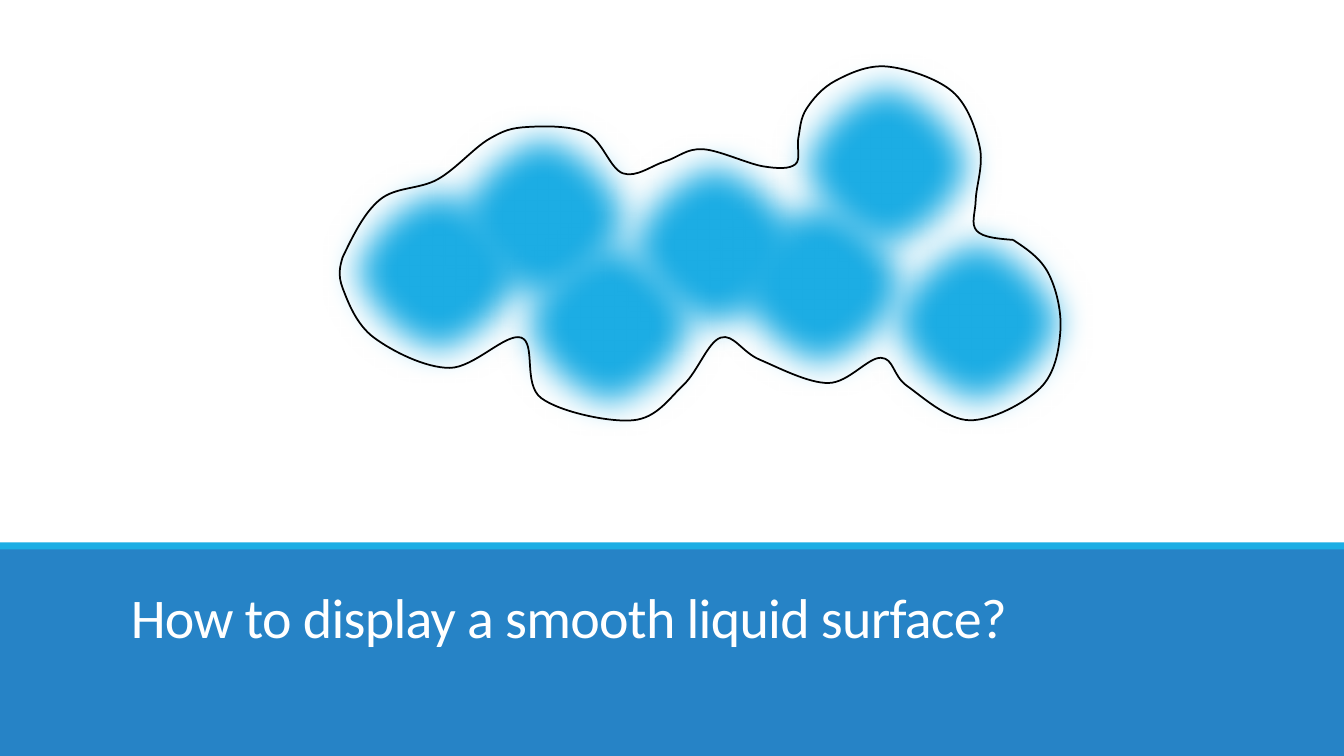
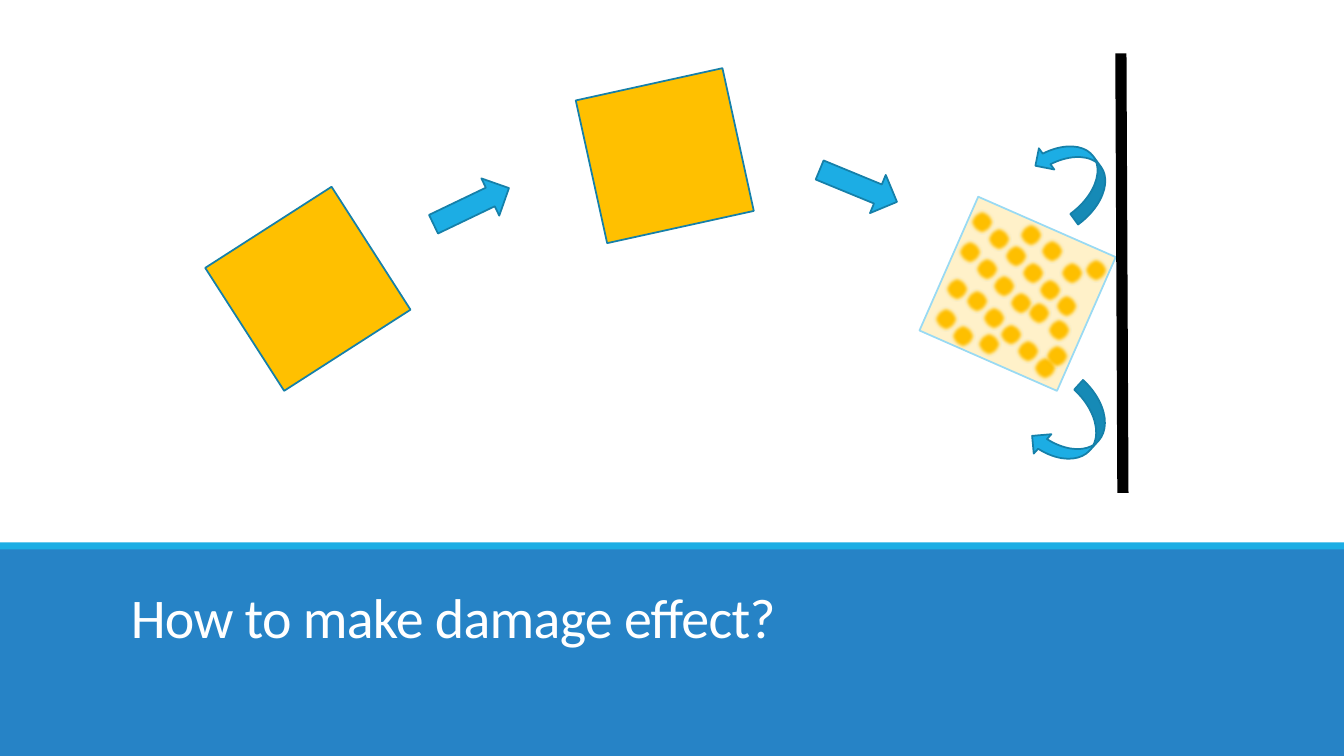
"""Build two question slides on rendering liquids and damage effects."""
import lxml.etree
import pptx
import pptx.dml.color
import pptx.enum.shapes
import pptx.enum.text
import pptx.oxml.ns
import pptx.util

SHAPE = pptx.enum.shapes.MSO_SHAPE
RGBColor = pptx.dml.color.RGBColor
Pt = pptx.util.Pt
qn = pptx.oxml.ns.qn

BAND_BLUE = RGBColor(0x26, 0x83, 0xC6)
LIQUID_BLUE = RGBColor(0x1C, 0xAD, 0xE4)
EDGE_BLUE = RGBColor(0x15, 0x80, 0xA9)
PALE_BLUE = RGBColor(0x99, 0xDA, 0xF3)
AMBER = RGBColor(0xFF, 0xC0, 0x00)
BLACK = RGBColor(0, 0, 0)
WHITE = RGBColor(0xFF, 0xFF, 0xFF)

deck = pptx.Presentation()
deck.slide_width = pptx.util.Inches(13.333)
deck.slide_height = pptx.util.Inches(7.5)
ROWS = 75
CELL = deck.slide_height / ROWS
COLUMNS = deck.slide_width / CELL
EDGE_WIDTH = Pt(1.25)

TITLE_FONT = {"name": "Calibri", "size": Pt(40)}
TITLE_FRAME = {
    "word_wrap": True,
    "vertical_anchor": pptx.enum.text.MSO_ANCHOR.BOTTOM,
    "margin_left": round(CELL),
    "margin_right": round(CELL),
    "margin_top": 0,
    "margin_bottom": 0,
}


def place(slide, kind, box, fill, edge=None, turn=0, soft=0, alpha=100):
    """Add a preset shape whose box is given in grid cells."""
    shape = slide.shapes.add_shape(kind, *(round(n * CELL) for n in box))
    shape.rotation = turn
    shape.shadow.inherit = False
    shape.fill.solid()
    shape.fill.fore_color.rgb = fill
    if edge is None:
        shape.line.fill.background()
    else:
        shape.line.color.rgb = edge
        shape.line.width = EDGE_WIDTH
    properties = shape._element.spPr
    if soft:
        effects = properties.find(qn("a:effectLst"))
        lxml.etree.SubElement(effects, qn("a:softEdge"), rad=str(Pt(soft)))
    if alpha < 100:
        color = properties.find(qn("a:solidFill"))[0]
        lxml.etree.SubElement(color, qn("a:alpha"), val=str(alpha * 1000))


def trace(slide, knots):
    """Draw a smooth open curve through knots given in grid cells."""
    points = [(x * CELL, y * CELL) for x, y in knots]
    last = len(points) - 1
    stops = []
    for i, (start, end) in enumerate(zip(points, points[1:])):
        before, after = points[max(i - 1, 0)], points[min(i + 2, last)]
        leave = [s + (e - b) / 6 for s, e, b in zip(start, end, before)]
        arrive = [e - (a - s) / 6 for s, e, a in zip(start, end, after)]
        if i == 0:
            leave = [(s + a) / 2 for s, a in zip(start, arrive)]
        if i == last - 1:
            arrive = [(n + e) / 2 for n, e in zip(leave, end)]
        stops += [leave, arrive, end]
    builder = slide.shapes.build_freeform(*points[0])
    builder.add_line_segments(stops, close=False)
    curve = builder.convert_to_shape()
    curve.shadow.inherit = False
    curve.fill.background()
    curve.line.color.rgb = BLACK
    curve.line.width = EDGE_WIDTH
    segments = list(curve._element.iter(qn("a:lnTo")))
    for first, second, third in zip(*[iter(segments)] * 3):
        first.tag = qn("a:cubicBezTo")
        for segment in (second, third):
            first.append(segment[0])
            segment.getparent().remove(segment)


questions = []
for question in ("How to display a smooth liquid surface?", "How to make damage effect?"):
    slide = deck.slides.add_slide(deck.slide_layouts[6])
    place(slide, SHAPE.RECTANGLE, (0, 54.2, COLUMNS, ROWS - 54.2), BAND_BLUE)
    place(slide, SHAPE.RECTANGLE, (0, 53.8, COLUMNS, 0.7), LIQUID_BLUE)
    title = slide.shapes.add_textbox(*(round(n * CELL) for n in (12, 55.5, 110.6, 9)))
    for key, value in TITLE_FRAME.items():
        setattr(title.text_frame, key, value)
    paragraph = title.text_frame.paragraphs[0]
    paragraph.line_spacing = 0.85
    run = paragraph.add_run()
    run.text = question
    for key, value in TITLE_FONT.items():
        setattr(run.font, key, value)
    run.font.color.rgb = WHITE
    run._r.get_or_add_rPr().set("spc", "-50")
    questions.append(slide)
liquid, damage = questions

DROPS = [(31.6, 15.3), (42, 10), (48.6, 20.5), (59.1, 12.7),
         (69.5, 16.6), (76.1, 4.8), (85.1, 20.3)]
for x, y in DROPS:
    place(liquid, SHAPE.OVAL, (x, y, 23.7, 23.2), LIQUID_BLUE, EDGE_BLUE, soft=25)

LEFT_END, RIGHT_END = (34, 25.5), (100.5, 23.8)
UPPER_SURFACE = [
    LEFT_END, (37.7, 19.8), (43.4, 17.8), (48.5, 13.8), (52.3, 12.6),
    (58.2, 13.2), (61.8, 17.2), (66, 16), (69.7, 14.8), (75.7, 16.5),
    (78.9, 16.3), (79.2, 13.7), (80, 10.8), (82.9, 8), (88, 6.6),
    (94.5, 9.1), (97.2, 14.6), (96.8, 19.8), (96.9, 22.9), RIGHT_END]
LOWER_SURFACE = [
    RIGHT_END, (104, 27.1), (105.2, 32.8), (103.2, 38.5), (96.2, 41.7),
    (90, 38.3), (87.4, 35.5), (82.2, 38), (75.4, 35.7), (71.5, 33.5),
    (67.8, 38.2), (62.8, 41.7), (53.7, 39.5), (51.7, 33.5), (44.6, 36.5),
    (37.1, 33.5), (34, 28.6), LEFT_END]
for surface in (UPPER_SURFACE, LOWER_SURFACE):
    trace(liquid, surface)

FLIGHT = [(23.1, 21.4, 327.3, EDGE_BLUE, 100),
          (58.5, 8.2, 347.6, EDGE_BLUE, 100),
          (93.5, 21.9, 23.7, PALE_BLUE, 21)]
for x, y, turn, edge, alpha in FLIGHT:
    place(damage, SHAPE.RECTANGLE, (x, y, 14.9, 14.5), AMBER, edge, turn, alpha=alpha)

wall = damage.shapes.add_connector(
    pptx.enum.shapes.MSO_CONNECTOR.STRAIGHT,
    *(round(n * CELL) for n in (111.2, 5.3, 111.4, 48.9)))
wall.line.color.rgb = BLACK
wall.line.width = Pt(8)
lxml.etree.SubElement(wall._element.spPr, qn("a:effectLst"))

PARTICLE_STEP = 1.67
PARTICLE_ROWS = [
    (96.2, 20.8, 6), (95, 23.8, 4), (95.7, 28.6, 5), (92.6, 30.4, 2),
    (93.7, 27.4, 1), (101, 22.1, 1), (103.1, 23.7, 1), (105.1, 25.8, 1),
    (107.5, 25.5, 1), (101.8, 29.8, 1), (103.8, 31.5, 1), (103.6, 34.1, 1),
    (96.9, 32.9, 1)]
for x, y, count in PARTICLE_ROWS:
    for i in range(count):
        shift = i * PARTICLE_STEP
        place(damage, SHAPE.OVAL, (x + shift, y + shift, 2.5, 2.5),
              AMBER, EDGE_BLUE, soft=2.5)

MOTION = [
    (SHAPE.RIGHT_ARROW, (42.6, 18.4, 8.3, 4.1), 334.4),
    (SHAPE.RIGHT_ARROW, (81, 16.4, 8.3, 4.1), 22.4),
    (SHAPE.CURVED_UP_ARROW, (102.3, 14.7, 8.5, 5.2), 234),
    (SHAPE.CURVED_DOWN_ARROW, (102, 40.1, 8.8, 5.2), 132.3)]
for kind, box, turn in MOTION:
    place(damage, kind, box, LIQUID_BLUE, EDGE_BLUE, turn)

deck.save("out.pptx")
